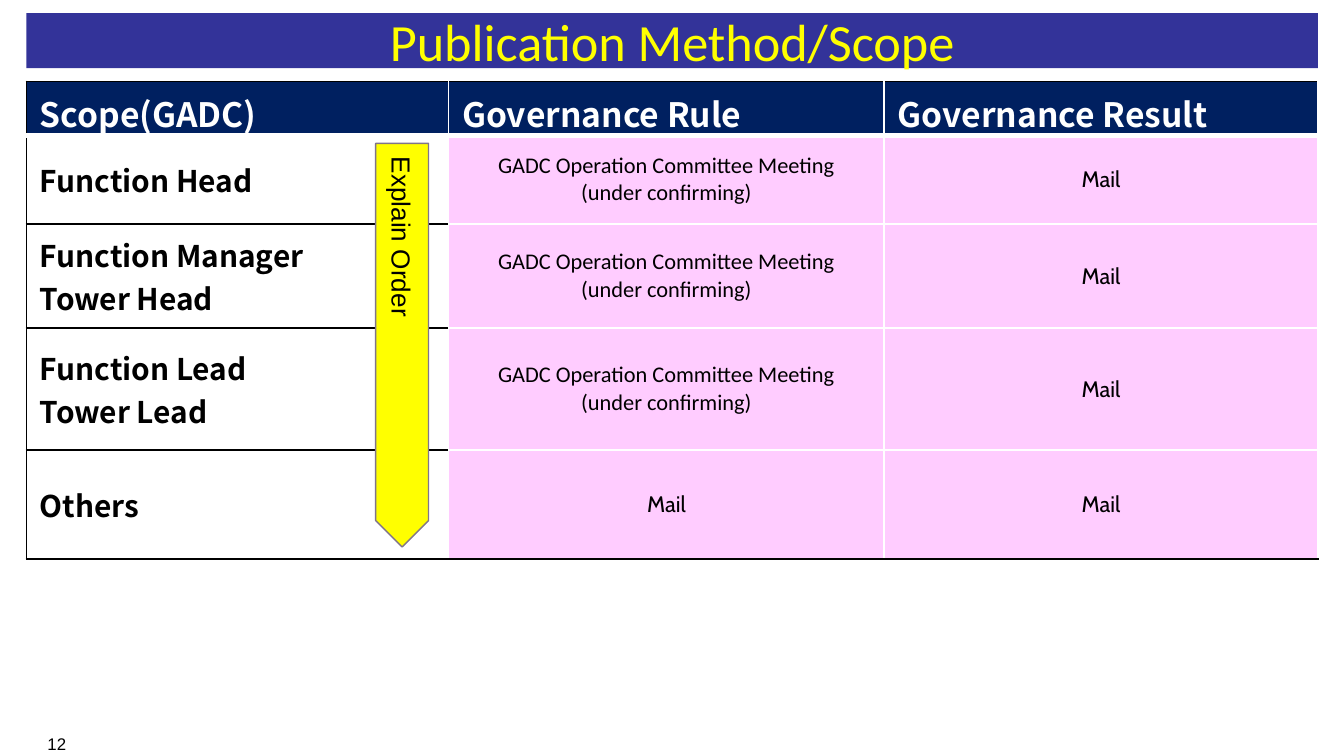
from lxml import etree
from pptx import Presentation
from pptx.dml.color import RGBColor
from pptx.enum.shapes import MSO_SHAPE as SHAPE
from pptx.enum.text import MSO_ANCHOR as ANCHOR, PP_ALIGN as ALIGN
from pptx.oxml.ns import qn
from pptx.util import Cm, Pt

BLACK, WHITE, YELLOW = "000000", "FFFFFF", "FFFF00"
NAVY, INDIGO, PINK, GRAY = "002060", "333399", "FFCCFF", "807589"
HEAD_FONT = "Noto Sans CJK JP"
COMMITTEE = "GADC Operation Committee Meeting\n(under confirming)"
ROWS = [
    ("Scope(GADC)", "Governance Rule", "Governance Result"),
    ("Function Head", COMMITTEE, "Mail"),
    ("Function Manager\nTower Head", COMMITTEE, "Mail"),
    ("Function Lead\nTower Lead", COMMITTEE, "Mail"),
    ("Others", "Mail", "Mail"),
]
COL_WIDTHS = (7.98, 8.23, 8.2)
ROW_HEIGHTS = (1, 1.68, 1.96, 2.31, 2.06)
LEFT, WIDTH = 0.5, sum(COL_WIDTHS)


def rgb(color):
    return RGBColor.from_string(color)


def write(tf, text, size=12, font="Calibri", color=BLACK, bold=False, align=ALIGN.LEFT):
    for i, line in enumerate(text.split("\n")):
        p = tf.add_paragraph() if i else tf.paragraphs[0]
        p.alignment = align
        r = p.add_run()
        r.text = line
        r.font.size, r.font.name, r.font.bold = Pt(size), font, bold
        r.font.color.rgb = rgb(color)


def add_box(s, kind, left, top, width, height, fill, line=None):
    sp = s.shapes.add_shape(kind, Cm(left), Cm(top), Cm(width), Cm(height))
    sp.shadow.inherit = False
    sp.fill.solid()
    sp.fill.fore_color.rgb = rgb(fill)
    if line:
        sp.line.color.rgb = rgb(line)
        sp.line.width = Pt(0.75)
    else:
        sp.line.fill.background()
    sp.text_frame.vertical_anchor = ANCHOR.MIDDLE
    return sp


def set_border(cell, side, color, width=1):
    props = cell._tc.get_or_add_tcPr()
    ln = etree.SubElement(props, qn(f"a:ln{side}"), w=str(Pt(width)))
    fill = etree.SubElement(ln, qn("a:solidFill"))
    etree.SubElement(fill, qn("a:srgbClr"), val=color)


def format_cell(cell, row, col):
    header, scope, last = row == 0, col == 0, row == len(ROWS) - 1
    set_border(cell, "L", BLACK if scope else WHITE)
    set_border(cell, "R", WHITE)
    set_border(cell, "T", BLACK if header or (scope and row > 1) else WHITE)
    set_border(cell, "B", BLACK if last or (scope and not header) else WHITE, 3 if header else 1)
    cell.fill.solid()
    cell.fill.fore_color.rgb = rgb(NAVY if header else WHITE if scope else PINK)
    cell.vertical_anchor = ANCHOR.MIDDLE
    text = ROWS[row][col]
    if header:
        style = dict(size=18, font=HEAD_FONT, color=WHITE, bold=True)
    elif scope:
        style = dict(size=16, font=HEAD_FONT, bold=True)
    else:
        style = dict(font="Cabin" if text == "Mail" else "Calibri", align=ALIGN.CENTER)
    write(cell.text_frame, text, **style)


def add_scope_table(s):
    frame = s.shapes.add_table(len(ROWS), len(COL_WIDTHS), Cm(LEFT), Cm(1.54),
                               Cm(WIDTH), Cm(sum(ROW_HEIGHTS)))
    table = frame.table
    for column, width in zip(table.columns, COL_WIDTHS):
        column.width = Cm(width)
    for i, height in enumerate(ROW_HEIGHTS):
        table.rows[i].height = Cm(height)
        for j in range(len(COL_WIDTHS)):
            format_cell(table.cell(i, j), i, j)


def add_order_arrow(s):
    sp = add_box(s, SHAPE.DOWN_ARROW, 7.1, 2.71, 1, 7.63, YELLOW, GRAY)
    sp.adjustments[0], sp.adjustments[1] = 1, 0.5
    tf = sp.text_frame
    tf.word_wrap = False
    tf._txBody.bodyPr.set("vert", "eaVert")
    write(tf, "Explain Order", size=14, font="Arial", align=ALIGN.CENTER)


def add_page_number(s):
    tf = s.shapes.add_textbox(Cm(0.08), Cm(13.74), Cm(1.42), Cm(0.38)).text_frame
    tf.word_wrap = True
    write(tf, "12", size=9, font="Arial", align=ALIGN.RIGHT)


def main():
    prs = Presentation()
    prs.slide_width, prs.slide_height = Cm(25.4), Cm(14.29)
    s = prs.slides.add_slide(prs.slide_layouts[6])
    add_page_number(s)
    title = add_box(s, SHAPE.RECTANGLE, LEFT, 0.25, WIDTH, 1.04, INDIGO)
    write(title.text_frame, "Publication Method/Scope", size=28, color=YELLOW, align=ALIGN.CENTER)
    add_scope_table(s)
    add_order_arrow(s)
    prs.save("out.pptx")


if __name__ == "__main__":
    main()
